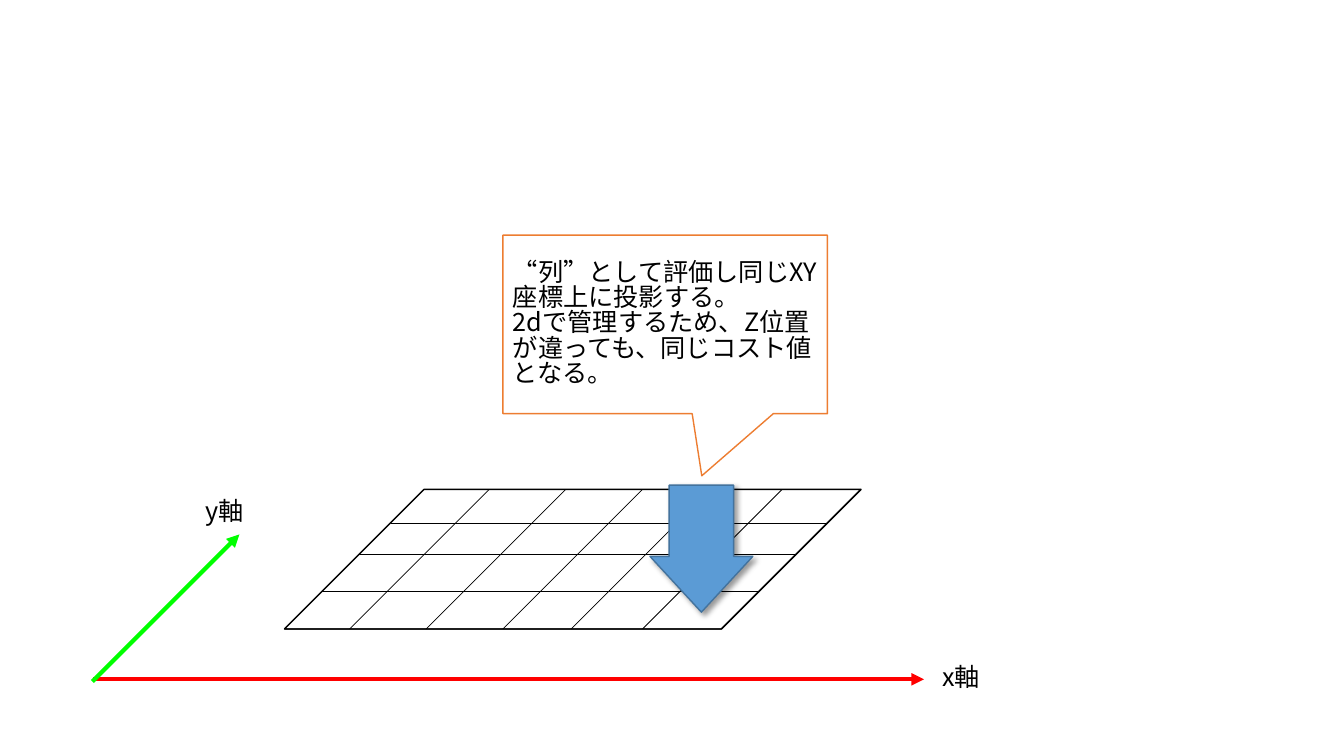
from lxml import etree
from pptx import Presentation
from pptx import util as u
from pptx.dml.color import RGBColor
from pptx.enum import shapes, text
from pptx.oxml.ns import qn

PX = 9525
FONT = "Noto Sans CJK JP"
COLORS = {
    "ink": "000000", "x_axis": "FF0000", "y_axis": "00FF00", "paper": "FFFFFF",
    "callout": "ED7D31", "arrow": "5B9BD5", "arrow_edge": "43739E",
}


def px(*lengths):
    """Turn whole pixels into EMU."""
    return [u.Emu(length * PX) for length in lengths]


def color(name):
    """Look up a named colour."""
    return RGBColor.from_string(COLORS[name])


def add_line(page, start, end, name, width, arrow=False):
    """Draw a straight line, with an arrowhead at its end if asked."""
    line = page.shapes.add_connector(shapes.MSO_CONNECTOR.STRAIGHT, *px(*start, *end))
    line.line.color.rgb = color(name)
    line.line.width = u.Pt(width)
    if arrow:
        etree.SubElement(line.line._get_or_add_ln(), qn("a:tailEnd"), type="triangle")
    etree.SubElement(line._element.spPr, qn("a:effectLst"))


def add_outline(page, kind, box, adjustments, fill, edge):
    """Draw a preset shape with a one-point edge."""
    shape = page.shapes.add_shape(kind, *px(*box))
    shape.shadow.inherit = False
    for index, value in enumerate(adjustments):
        shape.adjustments[index] = value
    if fill:
        shape.fill.solid()
        shape.fill.fore_color.rgb = color(fill)
    else:
        shape.fill.background()
    shape.line.color.rgb = color(edge)
    shape.line.width = u.Pt(1)
    return shape


def write(shape, lines):
    """Fill a shape with left-aligned paragraphs."""
    frame = shape.text_frame
    frame.word_wrap = True
    frame.text = "\n".join(lines)
    for para in frame.paragraphs:
        para.alignment = text.PP_ALIGN.LEFT
        para.line_spacing = 0.83
        for span in para.runs:
            span.font.size = u.Pt(18)
            span.font.name = FONT
            span.font.color.rgb = color("ink")
            etree.SubElement(span.font._element, qn("a:ea"), typeface=FONT)


def add_grid(page, box):
    """Draw the slanted ground grid."""
    left, top, width, depth = box
    bottom = top + depth
    for rise in (36, 71, 101):
        start = left + rise
        add_line(page, (start, bottom - rise), (start + width - depth, bottom - rise), "ink", 0.5)
    for offset in (62, 135, 208, 273, 341):
        start = left + offset
        add_line(page, (start, bottom), (start + depth, top), "ink", 0.5)
    add_outline(page, shapes.MSO_SHAPE.CUBE, box, [1], None, "ink")


def add_axes(page, box):
    """Draw both axes from the lower left corner of the box, with labels."""
    left, top, width, height = box
    bottom = top + height
    add_line(page, (left + 1, bottom - 2), (left + width, bottom - 2), "x_axis", 3, True)
    add_line(page, (left, bottom), (left + height, top), "y_axis", 3, True)
    for label, x, y in (("x軸", left + width + 8, bottom - 19), ("y軸", left + 98, top - 37)):
        write(page.shapes.add_textbox(*px(x, y, 91, 38)), [label])


def add_callout(page, box):
    """Draw the explanation callout."""
    callout = add_outline(page, shapes.MSO_SHAPE.RECTANGULAR_CALLOUT, box,
                          [0.113, 0.848], "paper", "callout")
    write(callout, ["“列”として評価し同じXY座標上に投影する。",
                    "2dで管理するため、Z位置が違っても、同じコスト値となる。"])
    callout.text_frame.vertical_anchor = text.MSO_ANCHOR.MIDDLE


def add_projection_arrow(page, box):
    """Draw the down arrow with its soft shadow."""
    arrow = add_outline(page, shapes.MSO_SHAPE.DOWN_ARROW, box,
                        [0.627, 0.542], "arrow", "arrow_edge")
    effects = arrow._element.spPr.find(qn("a:effectLst"))
    shadow = etree.SubElement(effects, qn("a:outerShdw"), blurRad=str(u.Pt(4)),
                              dist=str(u.Pt(3)), dir="2700000", algn="tl", rotWithShape="0")
    tint = etree.SubElement(shadow, qn("a:srgbClr"), val=COLORS["ink"])
    etree.SubElement(tint, qn("a:alpha"), val="40000")


def main():
    """Build the slide and save it."""
    deck = Presentation()
    deck.slide_width, deck.slide_height = px(1280, 720)
    page = deck.slides.add_slide(deck.slide_layouts[6])
    add_axes(page, (88, 509, 792, 140))
    add_grid(page, (271, 466, 549, 133))
    add_callout(page, (479, 224, 309, 170))
    add_projection_arrow(page, (619, 462, 98, 121))
    deck.save("out.pptx")


if __name__ == "__main__":
    main()
